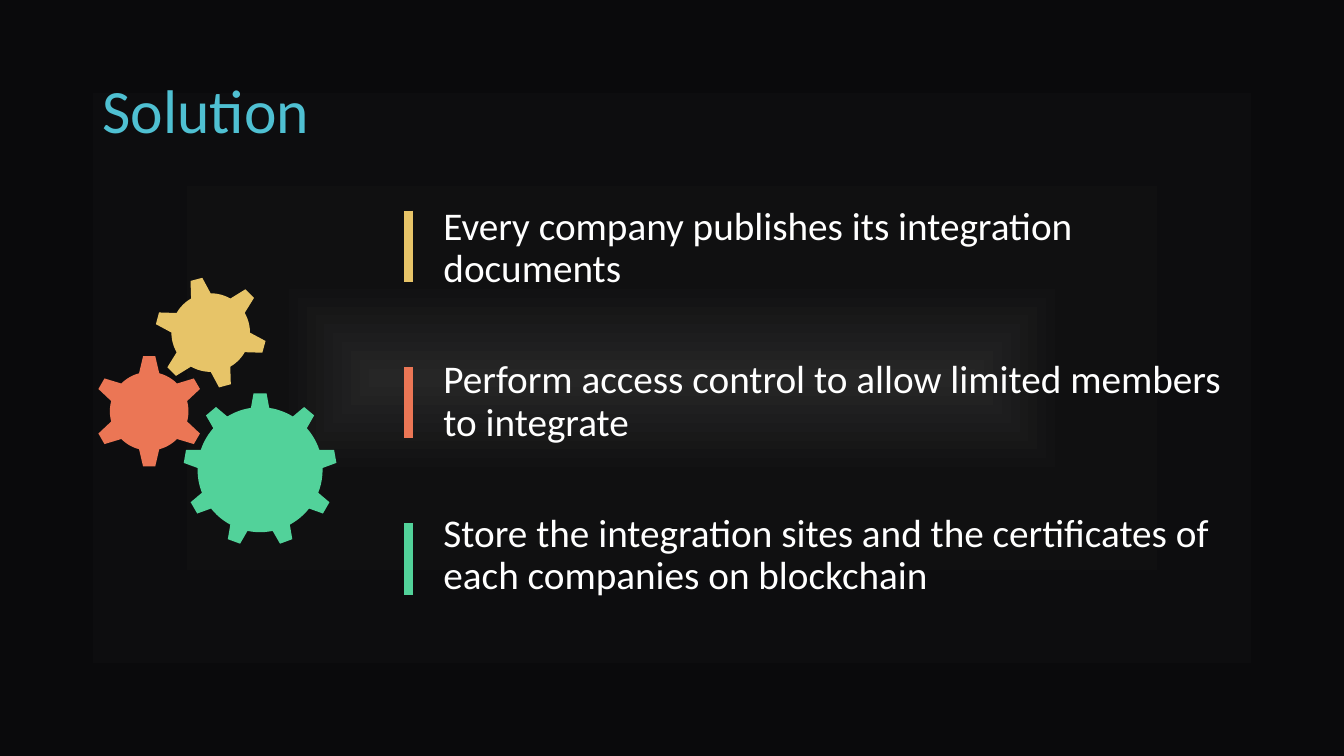
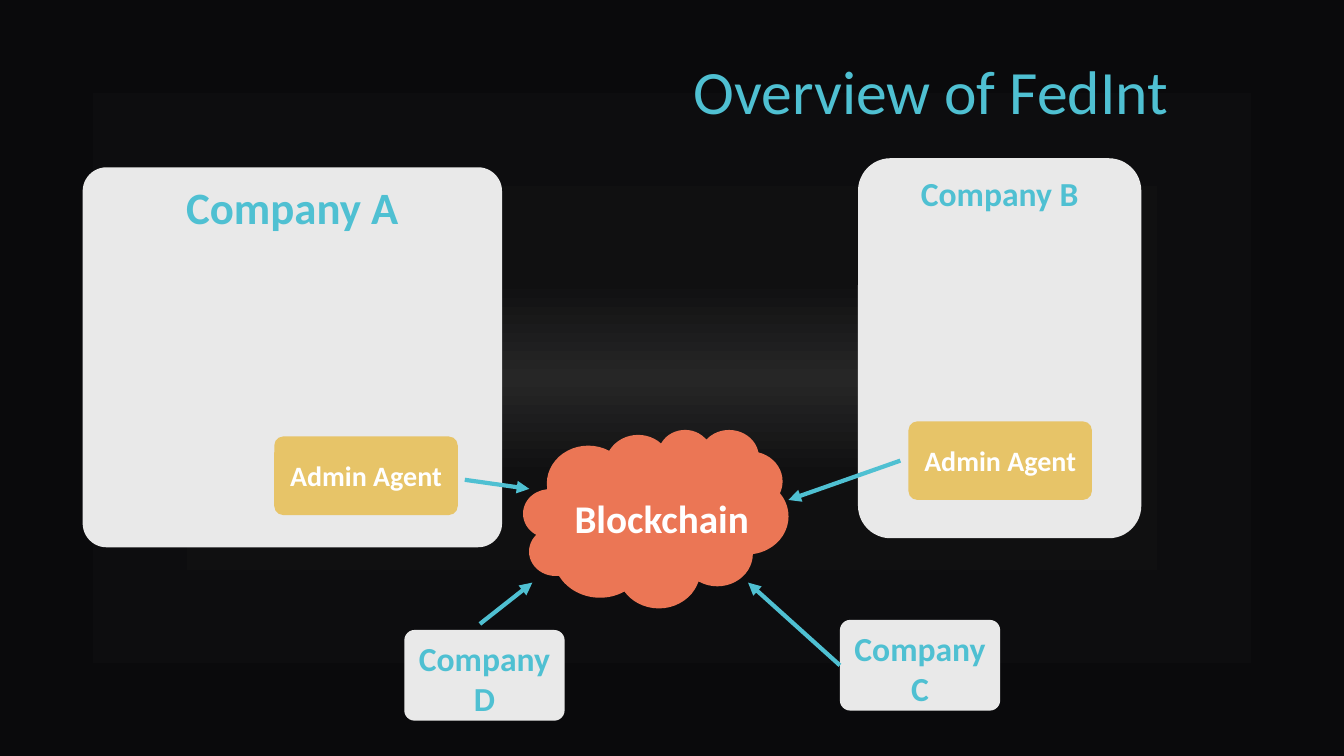
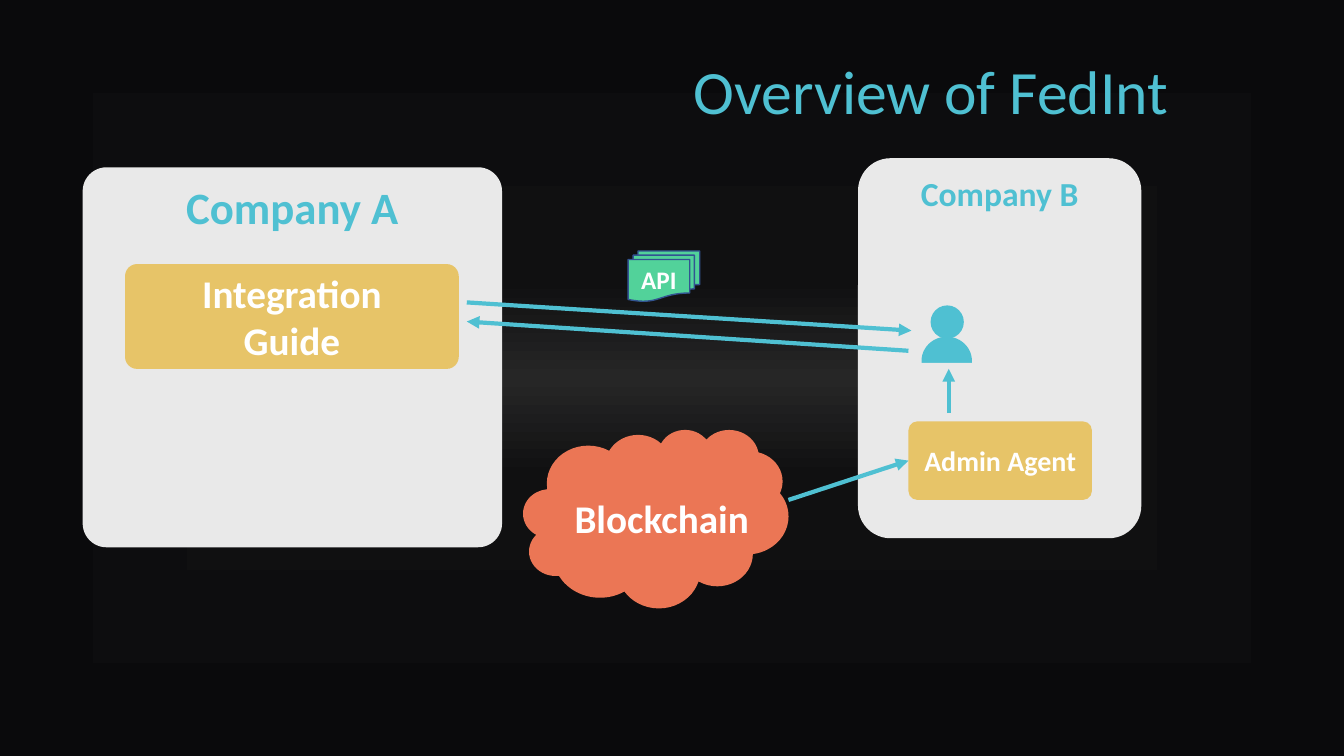
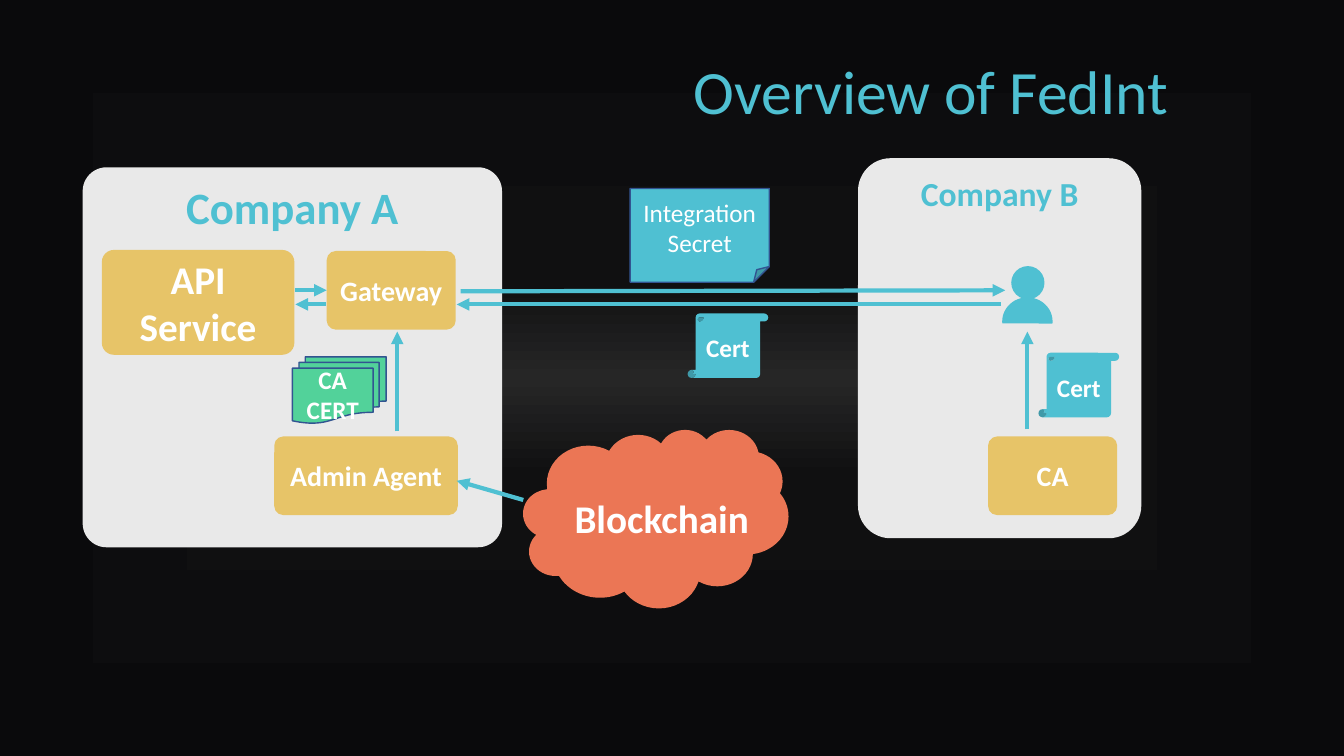
"""Builds the four FedInt slides: the solution and three overview diagrams."""
import math

import lxml.etree
import pptx
import pptx.dml.color
import pptx.enum.shapes
import pptx.enum.text
import pptx.oxml
import pptx.oxml.ns
import pptx.util

Inches = pptx.util.Inches
Pt = pptx.util.Pt
qn = pptx.oxml.ns.qn
SHAPE = pptx.enum.shapes.MSO_SHAPE
ALIGN = pptx.enum.text.PP_ALIGN
ANCHOR = pptx.enum.text.MSO_ANCHOR

FONT = "Calibri"
TEAL, GOLD, CORAL, GREEN = "4FC0D2", "E7C468", "EB7655", "52D29A"
PANEL, WHITE, OUTLINE = "E9E9E9", "FFFFFF", "325491"
BACKDROP = [(0, "262626"), (26, "101011"), (100, "0A0A0C")]


def rgb(code):
    return pptx.dml.color.RGBColor.from_string(code)


class Deck:
    def __init__(self):
        self.prs = pptx.Presentation()
        self.prs.slide_width, self.prs.slide_height = Inches(13.33), Inches(7.5)
        self.slide = None
        master = self.prs.slide_master
        master.background.fill.gradient()
        gradient = next(master.element.iter(qn("a:gradFill")))
        stops = "".join(
            f'<a:gs pos="{percent * 1000}"><a:srgbClr val="{code}"/></a:gs>'
            for percent, code in BACKDROP
        )
        gradient.getparent().replace(gradient, pptx.oxml.parse_xml(
            f'<a:gradFill {pptx.oxml.ns.nsdecls("a")} rotWithShape="1">'
            f'<a:gsLst>{stops}</a:gsLst><a:path path="rect">'
            '<a:fillToRect l="50000" t="50000" r="50000" b="50000"/>'
            '</a:path></a:gradFill>'))

    def new_slide(self):
        self.slide = self.prs.slides.add_slide(self.prs.slide_layouts[6])

    def fill_text(self, frame, lines, size, color, bold=False, align=ALIGN.LEFT,
                  anchor=ANCHOR.TOP, spacing=None, after=0, wrap=True):
        frame.word_wrap = wrap
        frame.vertical_anchor = anchor
        for index, line in enumerate(lines):
            paragraph = frame.add_paragraph() if index else frame.paragraphs[0]
            paragraph.alignment = align
            paragraph.line_spacing = spacing
            paragraph.space_after = Pt(after)
            run = paragraph.add_run()
            run.text = line
            run.font.name, run.font.size, run.font.bold = FONT, Pt(size), bold
            run.font.color.rgb = rgb(color)

    def text(self, box, lines, size, color, **style):
        holder = self.slide.shapes.add_textbox(*map(Inches, box))
        self.fill_text(holder.text_frame, lines, size, color, **style)

    def title(self, words, box, align=ALIGN.LEFT):
        self.text(box, [words], 44, TEAL, align=align, anchor=ANCHOR.MIDDLE, spacing=0.9)

    def paint(self, shape, fill, outline=None):
        shape.shadow.inherit = False
        shape.fill.solid()
        shape.fill.fore_color.rgb = rgb(fill)
        if outline:
            shape.line.color.rgb = rgb(outline)
            shape.line.width = Pt(1)
        else:
            shape.line.fill.background()

    def shape(self, kind, box, fill, lines=(), size=18, color=WHITE, bold=True,
              anchor=ANCHOR.MIDDLE, outline=None, corner=None):
        shape = self.slide.shapes.add_shape(kind, *map(Inches, box))
        self.paint(shape, fill, outline)
        if corner:
            shape.adjustments[0] = corner
        if lines:
            self.fill_text(shape.text_frame, lines, size, color, bold, ALIGN.CENTER, anchor)

    def company(self, name, box, size=24, corner=0.115):
        self.shape(SHAPE.ROUNDED_RECTANGLE, box, PANEL, [name], size, TEAL,
                   anchor=ANCHOR.TOP, corner=corner)

    def service(self, lines, box, size=20):
        self.shape(SHAPE.ROUNDED_RECTANGLE, box, GOLD, lines, size, corner=0.115)

    def admin_agent(self, left, top):
        self.service(["Admin Agent"], (left, top, 1.82, 0.78))

    def documents(self, lines, box):
        self.shape(SHAPE.FLOWCHART_MULTIDOCUMENT, box, GREEN, lines, outline=OUTLINE)

    def certificate(self, left, top):
        self.shape(SHAPE.VERTICAL_SCROLL, (left, top, 0.8, 0.64), TEAL, ["Cert"])

    def person(self, left, top):
        self.shape(SHAPE.OVAL, (left, top, 0.33, 0.33), TEAL)
        self.shape(SHAPE.OVAL, (left - 0.09, top + 0.31, 0.5, 0.48), TEAL)
        self.shape(SHAPE.ROUNDED_RECTANGLE, (left - 0.16, top + 0.57, 0.65, 0.44),
                   PANEL, corner=0.115)

    def line(self, start, end, color=TEAL, width=3, arrow=True):
        connector = self.slide.shapes.add_connector(
            pptx.enum.shapes.MSO_CONNECTOR.STRAIGHT, *map(Inches, (*start, *end)))
        connector.line.color.rgb = rgb(color)
        connector.line.width = Pt(width)
        properties = connector.element.spPr
        if arrow:
            stroke = properties.find(qn("a:ln"))
            lxml.etree.SubElement(stroke, qn("a:tailEnd"), type="triangle")
        lxml.etree.SubElement(properties, qn("a:effectLst"))

    def gear(self, center, teeth, root, tip, root_half, tip_half, color, turn=0):
        def at(radius, degrees):
            angle = math.radians(degrees)
            return (Inches(center[0] + radius * math.sin(angle)),
                    Inches(center[1] - radius * math.cos(angle)))

        pitch, steps, points = 360 / teeth, 6, []
        for tooth in range(teeth):
            middle = turn + tooth * pitch
            points += [at(tip, middle - tip_half), at(tip, middle + tip_half)]
            valley = pitch - 2 * root_half
            points += [at(root, middle + root_half + valley * step / steps)
                       for step in range(steps + 1)]
        builder = self.slide.shapes.build_freeform(*points[0])
        builder.add_line_segments(points[1:], close=True)
        self.paint(builder.convert_to_shape(), color)

    def overview(self):
        self.new_slide()
        self.company("Company A", (0.82, 1.66, 4.16, 3.77), 32, 0.063)
        self.title("Overview of FedInt", (0.92, 0.21, 10.77, 1.45), ALIGN.RIGHT)
        self.shape(SHAPE.CLOUD, (5.19, 4.26, 2.63, 1.77), CORAL)
        self.company("Company B", (8.51, 1.57, 2.81, 3.77))
        self.text((5.6, 4.85, 1.95, 0.57), ["Blockchain"], 28, WHITE, bold=True, wrap=False)


def solution(deck):
    deck.new_slide()
    deck.title("Solution", (0.92, 0.4, 11.5, 1.45))
    deck.text((4.3, 2, 8.18, 4.76), [
        "Every company publishes its integration documents",
        "Perform access control to allow limited members to integrate",
        "Store the integration sites and the certificates of each companies on blockchain",
    ], 28, WHITE, spacing=0.9, after=49.2)
    deck.gear((2.58, 4.66), 9, 0.62, 0.76, 8.4, 4.9, GREEN)
    deck.gear((1.48, 4.08), 6, 0.39, 0.55, 14.9, 6.3, CORAL)
    deck.gear((2.09, 3.3), 6, 0.39, 0.55, 14.9, 6.3, GOLD, turn=-15)
    for row, color in enumerate((GOLD, CORAL, GREEN)):
        top = 2.09 + 1.55 * row
        deck.line((4.05, top), (4.05, top + 0.71), color, 6, arrow=False)


def members(deck):
    deck.overview()
    deck.admin_agent(2.72, 4.33)
    deck.admin_agent(9.01, 4.18)
    deck.company("Company C", (8.33, 6.15, 1.59, 0.9))
    deck.company("Company D", (4.01, 6.25, 1.59, 0.9))
    for start, end in (((4.76, 6.19), (5.28, 5.78)), ((8.33, 6.6), (7.42, 5.78)),
                       ((4.61, 4.76), (5.25, 4.85)), ((8.93, 4.57), (7.82, 4.96))):
        deck.line(start, end)


def guide(deck):
    deck.overview()
    deck.admin_agent(9.01, 4.18)
    deck.service(["Integration", "Guide"], (1.24, 2.62, 3.31, 1.04), 28)
    deck.person(9.23, 3.03)
    deck.documents(["API"], (6.23, 2.49, 0.71, 0.5))
    for start, end in (((7.82, 4.96), (9.01, 4.57)), ((9.01, 3.48), (4.63, 3.19)),
                       ((9.41, 4.1), (9.41, 3.66)), ((4.63, 3), (9.04, 3.28))):
        deck.line(start, end)


def access(deck):
    deck.overview()
    deck.admin_agent(2.72, 4.33)
    deck.service(["Gateway"], (3.24, 2.49, 1.28, 0.78))
    deck.documents(["CA", "CERT"], (2.9, 3.54, 0.93, 0.66))
    deck.service(["API Service"], (1.01, 2.48, 1.91, 1.04), 28)
    deck.person(10.03, 2.64)
    deck.service(["CA"], (9.8, 4.33, 1.28, 0.78))
    deck.certificate(10.3, 3.5)
    deck.certificate(6.82, 3.11)
    for start, end in (((3.94, 4.28), (3.94, 3.29)), ((5.19, 4.96), (4.53, 4.77)),
                       ((10.19, 4.26), (10.19, 3.29)), ((9.93, 3.02), (4.53, 3.02)),
                       ((3.23, 3.02), (2.93, 3.02)), ((2.93, 2.88), (3.24, 2.88)),
                       ((4.57, 2.89), (9.97, 2.88))):
        deck.line(start, end)
    deck.shape(SHAPE.FOLDED_CORNER, (6.25, 1.87, 1.38, 0.93), TEAL,
               ["Integration", "Secret"], bold=False, outline=OUTLINE)


def main():
    deck = Deck()
    for build in (solution, members, guide, access):
        build(deck)
    deck.prs.save("out.pptx")


if __name__ == "__main__":
    main()
